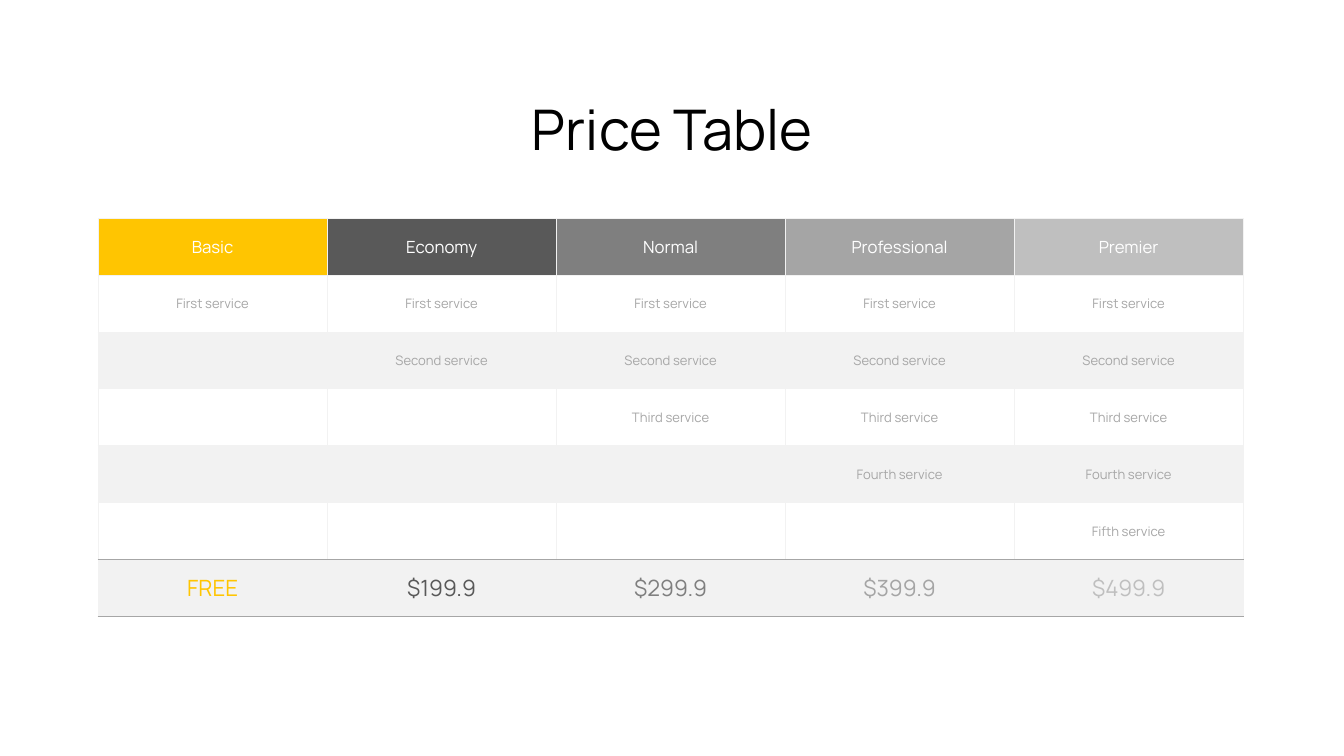
from lxml import etree
from pptx import Presentation
from pptx import util as u
from pptx.dml import color
from pptx.enum import text
from pptx.oxml import ns

FONT = "Manrope"
COLORS = {
    "title": "000000",
    "white": "FFFFFF",
    "band": "F2F2F2",
    "service": "A6A6A6",
    "rule": "A6A6A6",
}

# Plan name, price, colour; each plan has one more service than the one before
PLANS = [
    ("Basic", "FREE", "FFC501"),
    ("Economy", "$199.9", "595959"),
    ("Normal", "$299.9", "7F7F7F"),
    ("Professional", "$399.9", "A5A5A5"),
    ("Premier", "$499.9", "BFBFBF"),
]
SERVICES = ["First", "Second", "Third", "Fourth", "Fifth"]


def add_run(paragraph, words, size, hex_color):
    paragraph.alignment = text.PP_ALIGN.CENTER
    run = paragraph.add_run()
    run.text = words
    run.font.name = FONT
    run.font.size = u.Pt(size)
    run.font.color.rgb = color.RGBColor.from_string(hex_color)


def add_border(cell, side, hex_color):
    properties = cell._tc.get_or_add_tcPr()
    line = etree.SubElement(properties, ns.qn(f"a:ln{side}"), w=str(u.Pt(1)))
    fill = etree.SubElement(line, ns.qn("a:solidFill"))
    etree.SubElement(fill, ns.qn("a:srgbClr"), val=hex_color)


presentation = Presentation()
presentation.slide_width = u.Inches(20)
presentation.slide_height = u.Inches(11.25)
slide = presentation.slides.add_slide(presentation.slide_layouts[6])

# Price table
row_count = len(SERVICES) + 2
price_row = row_count - 1
table = slide.shapes.add_table(
    row_count, len(PLANS),
    u.Inches(1.46), u.Inches(3.25), u.Inches(17.04), u.Inches(5.92),
).table

for column, (plan, price, plan_color) in enumerate(PLANS):
    for row in range(row_count):
        cell = table.cell(row, column)
        cell.vertical_anchor = text.MSO_ANCHOR.MIDDLE
        cell.margin_left = cell.margin_right = u.Inches(0.12)
        cell.margin_top = cell.margin_bottom = u.Inches(0.06)

        # Borders: darker rules above and below the prices
        for side in "LRTB":
            dark = (row == price_row and side in "TB") or (
                row == price_row - 1 and side == "B")
            add_border(cell, side, COLORS["rule" if dark else "band"])

        # Fill: plan colour in the header, a band on every second row
        if row == 0:
            fill_color = plan_color
        else:
            fill_color = COLORS["white" if row % 2 else "band"]
        cell.fill.solid()
        cell.fill.fore_color.rgb = color.RGBColor.from_string(fill_color)

        # Text
        paragraph = cell.text_frame.paragraphs[0]
        if row == 0:
            add_run(paragraph, plan, 18, COLORS["white"])
        elif row == price_row:
            add_run(paragraph, price, 24, plan_color)
        elif row <= column + 1:
            add_run(paragraph, f"{SERVICES[row - 1]} service", 14, COLORS["service"])

# Title
title = slide.shapes.add_textbox(
    u.Inches(4.41), u.Inches(1.36), u.Inches(11.19), u.Inches(1.21))
frame = title.text_frame
frame.word_wrap = True
frame.vertical_anchor = text.MSO_ANCHOR.MIDDLE
frame.margin_left = frame.margin_right = frame.margin_top = frame.margin_bottom = 0
frame.paragraphs[0].line_spacing = 0.9
add_run(frame.paragraphs[0], "Price Table", 60, COLORS["title"])

presentation.save("out.pptx")
